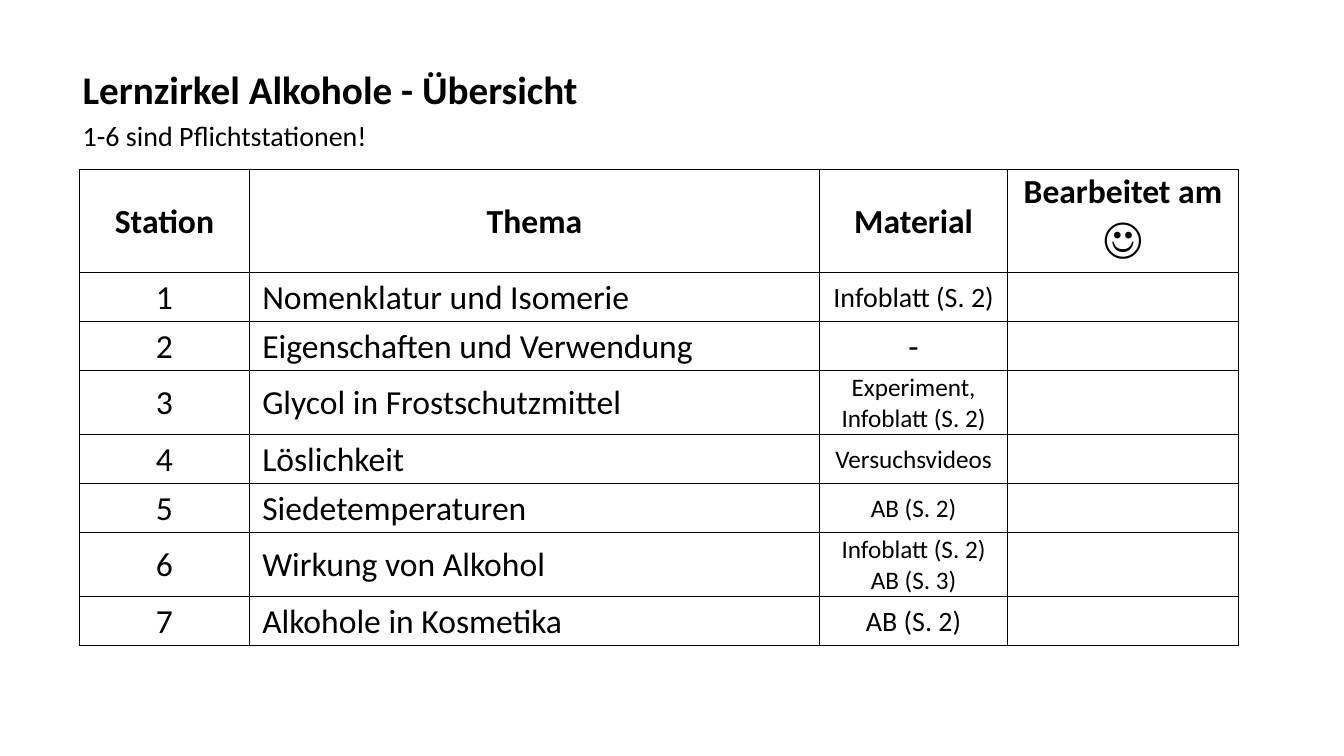
from lxml import etree
from pptx import Presentation
from pptx.dml.color import RGBColor
from pptx.enum import text
from pptx.oxml import ns
from pptx.util import Cm, Pt

BLACK = RGBColor(0x00, 0x00, 0x00)
WHITE = RGBColor(0xFF, 0xFF, 0xFF)
FONT = "Calibri"


def style_run(r, size, bold=False):
    r.font.name = FONT
    r.font.size = Pt(size)
    r.font.bold = bold
    r.font.color.rgb = BLACK


def add_borders(cell):
    tc_pr = cell._tc.get_or_add_tcPr()
    for side in ("lnL", "lnR", "lnT", "lnB"):
        ln = etree.SubElement(tc_pr, ns.qn(f"a:{side}"), w=str(Pt(1)))
        fill = etree.SubElement(ln, ns.qn("a:solidFill"))
        etree.SubElement(fill, ns.qn("a:srgbClr"), val=str(BLACK))


prs = Presentation()
prs.slide_width = Cm(33.87)
prs.slide_height = Cm(19.05)
s = prs.slides.add_slide(prs.slide_layouts[5])

title = s.shapes.title
title.left, title.top, title.width, title.height = Cm(1.83), Cm(1.37), Cm(29.21), Cm(2.59)
tf = title.text_frame
tf.text = "Lernzirkel Alkohole - Übersicht\n1-6 sind Pflichtstationen!"
tf.word_wrap = True
tf.auto_size = text.MSO_AUTO_SIZE.NONE
tf.vertical_anchor = text.MSO_ANCHOR.BOTTOM
for p, size, bold in zip(tf.paragraphs, (28, 20), (True, False)):
    p.alignment = text.PP_ALIGN.LEFT
    p.line_spacing = 0.9
    p.space_before = Pt(0)
    p.space_after = Pt(6)
    style_run(p.runs[0], size, bold)

headings = ("Station", "Thema", "Material", "Bearbeitet am ")
stations = (
    ("Nomenklatur und Isomerie", "Infoblatt (S. 2)", 20),
    ("Eigenschaften und Verwendung", "-", 24),
    ("Glycol in Frostschutzmittel", "Experiment, Infoblatt (S. 2)", 18),
    ("Löslichkeit", "Versuchsvideos", 18),
    ("Siedetemperaturen", "AB (S. 2)", 18),
    ("Wirkung von Alkohol", "Infoblatt (S. 2)\nAB (S. 3)", 18),
    ("Alkohole in Kosmetika", "AB (S. 2)", 20),
)
rows = [headings]
for number, (topic, material, size) in enumerate(stations, 1):
    rows.append((str(number), topic, material, ""))

table = s.shapes.add_table(
    len(rows), len(headings), Cm(2.01), Cm(4.27), Cm(29.2), Cm(11.27)
).table
table.first_row = False
table.horz_banding = False
for column, width in zip(table.columns, (4.27, 14.38, 4.73, 5.82)):
    column.width = Cm(width)

for i, row in enumerate(rows):
    table.rows[i].height = Cm(1.24 if i else 2.59)
    for j, content in enumerate(row):
        cell = table.cell(i, j)
        add_borders(cell)
        cell.fill.solid()
        cell.fill.fore_color.rgb = WHITE
        cell.margin_left = cell.margin_right = Cm(0.33)
        cell.margin_top, cell.margin_bottom = Cm(0.05), Cm(0)
        top_aligned = j == 3
        cell.vertical_anchor = text.MSO_ANCHOR.TOP if top_aligned else text.MSO_ANCHOR.MIDDLE
        cell.text_frame.text = content
        size = stations[i - 1][2] if i and j == 2 else 24
        for p in cell.text_frame.paragraphs:
            left_aligned = i and j == 1
            p.alignment = text.PP_ALIGN.LEFT if left_aligned else text.PP_ALIGN.CENTER
            for r in p.runs:
                style_run(r, size, bold=i == 0)

smiley = table.cell(0, 3).text_frame.paragraphs[0].add_run()
smiley.text = "☺"
style_run(smiley, 31, bold=True)

prs.save("out.pptx")
